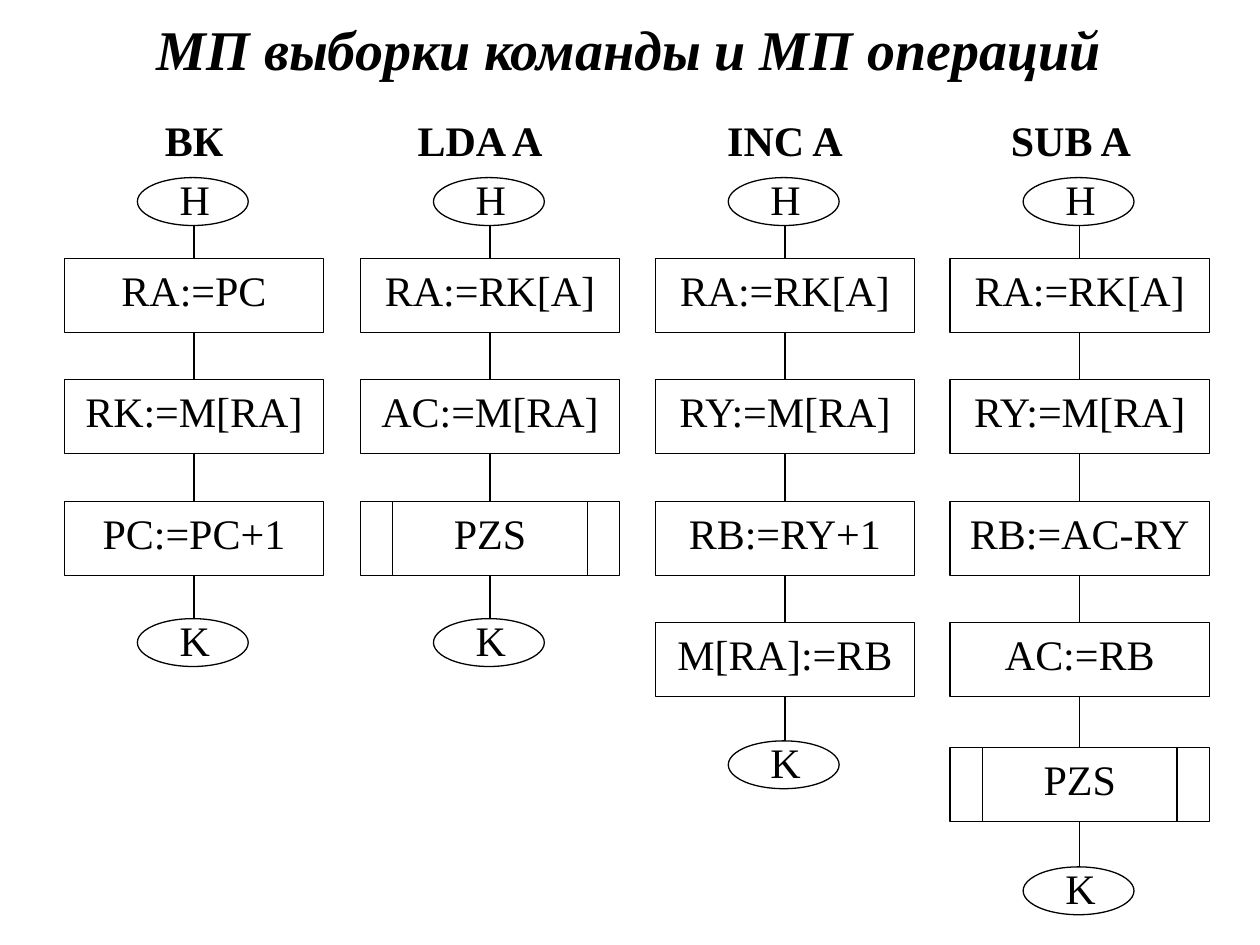
from lxml import etree
from pptx import Presentation
from pptx.dml.color import RGBColor
from pptx.enum.shapes import MSO_CONNECTOR as Connector, MSO_SHAPE as Preset
from pptx.enum.text import MSO_ANCHOR as Anchor, PP_ALIGN as Align
from pptx.oxml.ns import qn
from pptx.util import Inches, Pt


def color(value):
    return RGBColor.from_string(value)


def write(box, text, size=24, bold=False, italic=False, anchor=Anchor.TOP,
          insets=(0.1, 0.05, 0.1, 0.05)):
    frame = box.text_frame
    frame.word_wrap = True
    frame.vertical_anchor = anchor
    frame.margin_left, frame.margin_top, frame.margin_right, frame.margin_bottom = map(Inches, insets)
    para = frame.paragraphs[0]
    para.alignment = Align.CENTER
    span = para.add_run()
    span.text = text
    span.font.name = "Times New Roman"
    span.font.size = Pt(size)
    span.font.bold = bold
    span.font.italic = italic
    span.font.color.rgb = color("000000")


deck = Presentation()
deck.slide_width, deck.slide_height = Inches(10), Inches(7.5)
page = deck.slides.add_slide(deck.slide_layouts[5])
shapes = page.shapes

title = shapes.title
title.left, title.top = Inches(0.27), Inches(0.09)
title.width, title.height = Inches(9.45), Inches(0.59)
write(title, "МП выборки команды и МП операций", size=32, bold=True, italic=True, anchor=Anchor.MIDDLE)

box_width, box_height = 2.06, 0.59
oval_width, oval_height = 0.88, 0.38
step_tops = [2.05, 3.01, 3.98, 4.94, 5.93]
end_tops = {3: 4.91, 4: 5.88, 5: 6.88}
charts = [
    ("ВК", 0.51, 1.54, ["RA:=PC", "RK:=M[RA]", "PC:=PC+1"]),
    ("LDA A", 2.86, 3.81, ["RA:=RK[A]", "AC:=M[RA]", "PZS"]),
    ("INC A", 5.2, 6.23, ["RA:=RK[A]", "RY:=M[RA]", "RB:=RY+1", "M[RA]:=RB"]),
    ("SUB A", 7.54, 8.5, ["RA:=RK[A]", "RY:=M[RA]", "RB:=AC-RY", "AC:=RB", "PZS"]),
]

for name, left, heading_center, steps in charts:
    heading = shapes.add_textbox(Inches(heading_center - 0.66), Inches(0.86), Inches(1.32), Inches(0.52))
    write(heading, name, bold=True)

    center = left + box_width / 2
    oval_left = center - oval_width / 2 - 0.01
    end_top = end_tops[len(steps)]
    nodes = [("Н", Preset.OVAL, oval_left, 1.41, oval_width, oval_height)]
    for text, top in zip(steps, step_tops):
        preset = Preset.FLOWCHART_PREDEFINED_PROCESS if text == "PZS" else Preset.RECTANGLE
        nodes.append((text, preset, left, top, box_width, box_height))
    nodes.append(("K", Preset.OVAL, oval_left, end_top, oval_width, oval_height))

    for text, preset, x, y, width, height in nodes:
        node = shapes.add_shape(preset, Inches(x), Inches(y), Inches(width), Inches(height))
        node.shadow.inherit = False
        node.fill.background()
        node.line.color.rgb = color("000000")
        node.line.width = Pt(0.75)
        if preset == Preset.OVAL:
            write(node, text, anchor=Anchor.MIDDLE, insets=(0.03, 0, 0, 0.05))
        else:
            write(node, text)

    for upper, lower in zip(nodes, nodes[1:]):
        start, end = upper[3] + upper[5], lower[3]
        line = shapes.add_connector(Connector.STRAIGHT, Inches(center), Inches(start),
                                    Inches(center), Inches(end))
        line.line.color.rgb = color("000000")
        line.line.width = Pt(0.75)
        etree.SubElement(line._element.spPr, qn("a:effectLst"))

deck.save("out.pptx")
